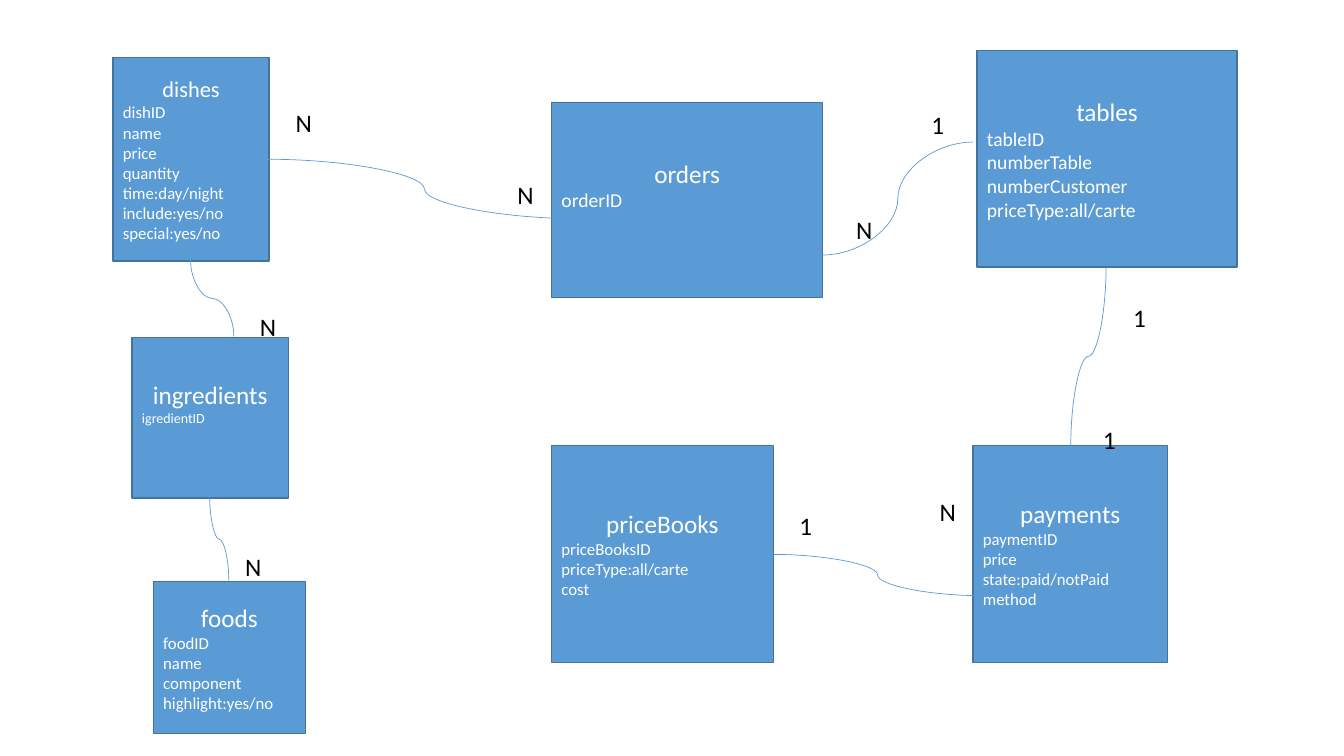
import pptx
import pptx.util
import pptx.dml.color
import pptx.enum.shapes
import pptx.enum.text
import pptx.oxml.ns
from dataclasses import dataclass
from lxml import etree

Inches = pptx.util.Inches
Align = pptx.enum.text.PP_ALIGN
qn = pptx.oxml.ns.qn


@dataclass(frozen=True)
class Theme:
    font: str = "Calibri"
    fill: str = "5B9BD5"
    outline: str = "43739E"
    light: str = "FFFFFF"
    dark: str = "000000"
    title: int = 18
    small_title: int = 16
    large: int = 14
    body: int = 12
    small: int = 10
    border: float = 1
    link: float = 0.5


theme = Theme()


def color(value):
    return pptx.dml.color.RGBColor.from_string(value)


def write(paragraph, text, size=theme.title, ink=theme.dark, align=Align.LEFT):
    paragraph.alignment = align
    run = paragraph.add_run()
    run.text = text
    run.font.name = theme.font
    run.font.size = pptx.util.Pt(size)
    run.font.color.rgb = color(ink)


class Diagram:
    def __init__(self, slide, style):
        self.slide = slide
        self.style = style

    def entity(self, left, top, width, height, name, fields, size, title_size, bottom=0.05):
        style = self.style
        shape = self.slide.shapes.add_shape(
            pptx.enum.shapes.MSO_SHAPE.RECTANGLE,
            Inches(left), Inches(top), Inches(width), Inches(height))
        shape.shadow.inherit = False
        shape.fill.solid()
        shape.fill.fore_color.rgb = color(style.fill)
        shape.line.color.rgb = color(style.outline)
        shape.line.width = pptx.util.Pt(style.border)
        frame = shape.text_frame
        frame.word_wrap = True
        frame.vertical_anchor = pptx.enum.text.MSO_ANCHOR.MIDDLE
        frame.margin_bottom = Inches(bottom)
        write(frame.paragraphs[0], name, size=title_size, ink=style.light, align=Align.CENTER)
        for field in fields.split():
            write(frame.add_paragraph(), field, size=size, ink=style.light)

    def relation(self, start_x, start_y, end_x, end_y, vertical=False):
        if vertical:
            center_x, center_y = (start_x + end_x) / 2, (start_y + end_y) / 2
            half_x, half_y = (end_x - start_x) / 2, (end_y - start_y) / 2
            start_x, end_x = center_x - half_y, center_x + half_y
            start_y, end_y = center_y + half_x, center_y - half_x
        connector = self.slide.shapes.add_connector(
            pptx.enum.shapes.MSO_CONNECTOR.CURVE,
            Inches(start_x), Inches(start_y), Inches(end_x), Inches(end_y))
        connector.line.color.rgb = color(self.style.fill)
        connector.line.width = pptx.util.Pt(self.style.link)
        properties = connector.element.spPr
        etree.SubElement(properties, qn("a:effectLst"))
        if vertical:
            properties.find(qn("a:xfrm")).set("rot", "5400000")

    def cardinality(self, text, left, top, width, height=0.4, wrap=True):
        box = self.slide.shapes.add_textbox(
            Inches(left), Inches(top), Inches(width), Inches(height))
        box.text_frame.word_wrap = wrap
        box.text_frame.auto_size = pptx.enum.text.MSO_AUTO_SIZE.SHAPE_TO_FIT_TEXT
        write(box.text_frame.paragraphs[0], text)


presentation = pptx.Presentation()
presentation.slide_width = Inches(13.33)
presentation.slide_height = Inches(7.5)
diagram = Diagram(presentation.slides.add_slide(presentation.slide_layouts[6]), theme)

entities = [
    (1.12, 0.57, 1.55, 2.02, "dishes",
     "dishID name price quantity time:day/night include:yes/no special:yes/no",
     theme.body, theme.small_title),
    (1.31, 3.35, 1.55, 1.59, "ingredients", "igredientID", theme.small, theme.title, 0.35),
    (1.52, 5.77, 1.51, 1.51, "foods", "foodID name component highlight:yes/no",
     theme.body, theme.title),
    (9.69, 0.5, 2.58, 2.15, "tables", "tableID numberTable numberCustomer priceType:all/carte",
     theme.large, theme.title),
    (5.47, 1.02, 2.69, 1.93, "orders", "orderID", theme.large, theme.title, 0.35),
    (5.47, 4.42, 2.2, 2.15, "priceBooks", "priceBooksID priceType:all/carte cost",
     theme.body, theme.title),
    (9.65, 4.42, 1.93, 2.15, "payments", "paymentID price state:paid/notPaid method",
     theme.body, theme.title),
]
for entity in entities:
    diagram.entity(*entity)

relations = [
    (8.16, 2.53, 9.65, 1.41),
    (2.66, 1.58, 5.76, 2.17),
    (7.67, 5.5, 9.74, 5.91),
    (1.89, 2.58, 2.32, 3.34, True),
    (2.08, 4.93, 2.27, 5.77, True),
    (10.97, 2.65, 10.62, 4.42, True),
]
for relation in relations:
    diagram.relation(*relation)

for left, top in [(2.85, 1.02), (8.41, 2.08), (5.05, 1.73), (2.35, 5.42)]:
    diagram.cardinality("N", left, top, 0.18, height=0.71)
for left, top, width in [(9.14, 1.04, 0.32), (10.84, 4.16, 0.3), (7.83, 5.01, 0.21)]:
    diagram.cardinality("1", left, top, width)
for text, left, top, width in [("1", 11.14, 2.95, 0.34), ("N", 9.22, 4.87, 0.38),
                               ("N", 2.48, 3.04, 0.38)]:
    diagram.cardinality(text, left, top, width, wrap=False)

presentation.save("out.pptx")
